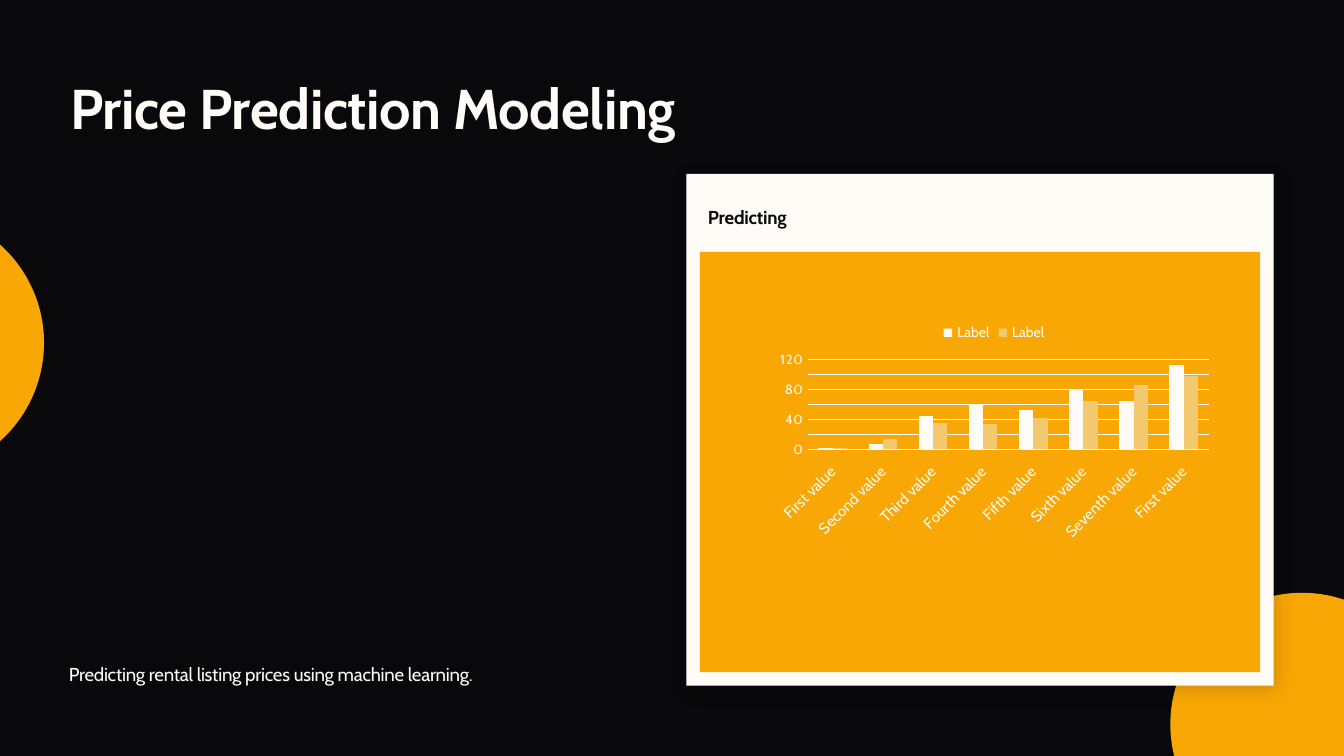
from dataclasses import dataclass

from lxml import etree
from pptx import Presentation
from pptx.chart.data import CategoryChartData
from pptx.dml.color import RGBColor
from pptx.enum.chart import (XL_CHART_TYPE, XL_LEGEND_POSITION,
                             XL_TICK_LABEL_POSITION, XL_TICK_MARK)
from pptx.enum.shapes import MSO_SHAPE
from pptx.enum.text import MSO_ANCHOR, MSO_AUTO_SIZE, PP_ALIGN
from pptx.oxml.ns import qn
from pptx.util import Pt

RECT, OVAL = MSO_SHAPE.RECTANGLE, MSO_SHAPE.OVAL
TOP, MIDDLE, BOTTOM = MSO_ANCHOR.TOP, MSO_ANCHOR.MIDDLE, MSO_ANCHOR.BOTTOM
LEFT, FIXED = PP_ALIGN.LEFT, MSO_AUTO_SIZE.NONE
COLUMNS = XL_CHART_TYPE.COLUMN_CLUSTERED
LEGEND_TOP, LOW = XL_LEGEND_POSITION.TOP, XL_TICK_LABEL_POSITION.LOW
NO_TICK, TICK_OUT = XL_TICK_MARK.NONE, XL_TICK_MARK.OUTSIDE


@dataclass(frozen=True)
class Theme:
    font: str = "Cabin"
    dark: RGBColor = RGBColor(0x09, 0x09, 0x0C)
    cream: RGBColor = RGBColor(0xFF, 0xFC, 0xF7)
    gold: RGBColor = RGBColor(0xF9, 0xA7, 0x04)
    sand: RGBColor = RGBColor(0xF2, 0xC9, 0x6F)
    title: float = 30
    body: float = 10
    cats: float = 8.2
    legend: float = 7.5
    values: float = 7.1


THEME = Theme()
CATS = ["First value", "Second value", "Third value", "Fourth value",
        "Fifth value", "Sixth value", "Seventh value", "First value"]
SERIES = [("Label", (1, 7, 45, 59, 53, 81, 64, 113), THEME.cream),
          ("Label", (2, 14, 35, 33, 42, 64, 86, 98), THEME.sand)]


def place(shape, box):
    shape.left, shape.top, shape.width, shape.height = map(Pt, box)


def style(font, size, color, bold=False):
    font.name, font.size, font.bold = THEME.font, Pt(size), bold
    font.color.rgb = color


def write(shape, text, size, color, lead, anchor, bold=False, track=-0.1):
    frame = shape.text_frame
    frame.word_wrap, frame.auto_size = True, FIXED
    frame.vertical_anchor = anchor
    frame.margin_left = frame.margin_right = 0
    frame.margin_top = frame.margin_bottom = 0
    frame.text = text
    para = frame.paragraphs[0]
    para.alignment, para.line_spacing = LEFT, Pt(lead)
    para.space_before = Pt(0)
    for run in para.runs:
        style(run.font, size, color, bold)
        run._r.get_or_add_rPr().set("spc", str(round(track * 100)))


def add_label(slide, box, text, color, anchor, bold=False):
    label = slide.shapes.add_textbox(*map(Pt, box))
    write(label, text, THEME.body, color, 16.6, anchor, bold)


def add_block(slide, kind, box, color):
    block = slide.shapes.add_shape(kind, *map(Pt, box))
    block.shadow.inherit = False
    block.fill.solid()
    block.fill.fore_color.rgb = color
    block.line.fill.background()
    return block


def add_glow(shape):
    effects = shape._element.spPr.find(qn("a:effectLst"))
    glow = etree.SubElement(effects, qn("a:outerShdw"), blurRad=str(Pt(10)),
                            dist=str(Pt(3)), dir=str(60 * 60000),
                            algn="ctr", rotWithShape="0")
    color = etree.SubElement(glow, qn("a:srgbClr"), val="000000")
    etree.SubElement(color, qn("a:alpha"), val="15000")


def add_chart(slide, box):
    data = CategoryChartData()
    data.categories = CATS
    for name, values, _ in SERIES:
        data.add_series(name, values)
    chart = slide.shapes.add_chart(COLUMNS, *map(Pt, box), data).chart
    chart.has_title = False
    style(chart.font, THEME.body, THEME.cream)

    # Legend
    chart.has_legend = True
    chart.legend.position = LEGEND_TOP
    chart.legend.include_in_layout = False
    style(chart.legend.font, THEME.legend, THEME.cream)

    # Columns
    plot = chart.plots[0]
    plot.gap_width, plot.overlap = 150, 0
    plot.vary_by_categories = False
    for series, (_, _, color) in zip(plot.series, SERIES):
        series.format.fill.solid()
        series.format.fill.fore_color.rgb = color

    # Axes
    cats, values = chart.category_axis, chart.value_axis
    for axis, size, tick in ((cats, THEME.cats, TICK_OUT),
                             (values, THEME.values, NO_TICK)):
        style(axis.tick_labels.font, size, THEME.cream)
        axis.major_tick_mark, axis.minor_tick_mark = tick, NO_TICK
        axis.format.line.fill.background()
    cats.tick_label_position = LOW
    turn = cats._element.find(qn("c:txPr")).find(qn("a:bodyPr"))
    turn.set("rot", str(-45 * 60000))
    values._element.find(".//" + qn("a:defRPr")).set("spc", "50")
    values.minimum_scale, values.maximum_scale = 0, 120
    values.major_unit = 20
    values.has_major_gridlines = True
    grid = values.major_gridlines.format.line
    grid.color.rgb, grid.width = THEME.cream, Pt(0.5)


def add_card(slide, box):
    x, y, w, h = box
    add_glow(add_block(slide, RECT, box, THEME.cream))
    add_label(slide, (x + 11.6, y + 12.4, 360, 16.6), "Predicting",
              THEME.dark, MIDDLE, bold=True)
    pad, head = 7.3, 41.7
    add_block(slide, RECT, (x + pad, y + head, w - 2 * pad, h - head - pad),
              THEME.gold)
    add_chart(slide, (x + 44.9, y + 72.1, 239.8, 127.4))


def add_heading(slide, box):
    place(slide.shapes.title, box)
    write(slide.shapes.title, "Price Prediction Modeling", THEME.title,
          THEME.cream, 37.5, TOP, bold=True, track=-0.23)


def main():
    deck = Presentation()
    deck.slide_width, deck.slide_height = Pt(720), Pt(405)
    slide = deck.slides.add_slide(deck.slide_layouts[5])
    slide.background.fill.solid()
    slide.background.fill.fore_color.rgb = THEME.dark

    # Text on the left
    add_label(slide, (36.9, 350.8, 360, 16.6),
              "Predicting rental listing prices using machine learning.",
              THEME.cream, BOTTOM)
    add_heading(slide, (37.7, 37.9, 360, 75))

    # Discs cut by the slide edges
    for x, y in ((627, 317.6), (-117.4, 113.2)):
        add_block(slide, OVAL, (x, y, 141, 141), THEME.gold)

    # Chart card
    add_card(slide, (367.7, 93.2, 314.7, 274.2))
    deck.save("out.pptx")


if __name__ == "__main__":
    main()
